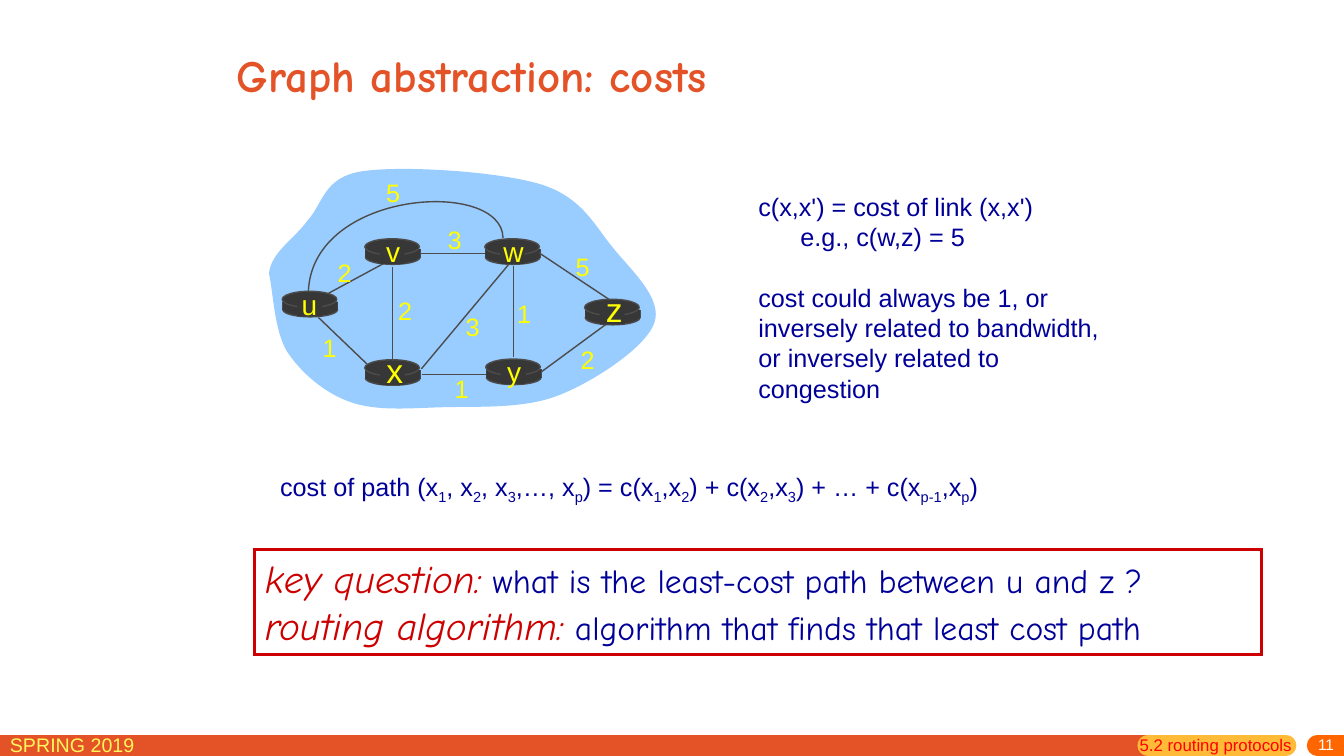
"""Build the slide on link costs in a graph of routers."""
from lxml import etree
from pptx import Presentation
from pptx import util as u
from pptx.dml.color import RGBColor
from pptx.enum import shapes, text
from pptx.oxml import ns

Pt = u.Pt
HUES = dict(brand="E45327", amber="FFBA37", orange="FF6600", lemon="FFF65C",
            white="FFFFFF", cloud="99CCFF", node="373737", line="4C4C4C",
            cost="FFFF00", navy="000099", key="CC0000", red="FF0000")
TITLE = "Graph abstraction: costs"
BARS = [(0, 820, "brand"), (820, 918.5, "amber"), (941, 960, "orange")]
NODES = [("u", 201.6, 208.1, 20, 221), ("x", 260.6, 257, 24, 281.9),
         ("v", 260.6, 170.6, 20, 280.8), ("w", 346.3, 170.6, 20, 366.5),
         ("y", 347, 256.5, 20, 367.2), ("z", 417.6, 213.8, 24, 438.8)]
UNDER = [(234.7, 209.5, 277.2, 186.5)]
LINKS = [(366.9, 190, 366.9, 255), (280.4, 191, 280.4, 258),
         (301, 263.5, 363.6, 188.6), (386.6, 265.7, 432.7, 231.8),
         (347, 267.4, 301.7, 267.4), (262.1, 260, 227.5, 226.8),
         (346.3, 181.1, 301, 181.1), (434.9, 213.8, 385.2, 180.7)]
COSTS = [("2", 234, 180), ("2", 277.2, 207.4), ("1", 223.2, 234),
         ("3", 325.4, 218.9), ("1", 317.5, 262.8), ("1", 362.2, 209.5),
         ("2", 407.5, 242.6), ("5", 403.9, 175.7), ("3", 312.5, 157),
         ("5", 268.6, 123.1)]
BLOB = [(192.2, 195.8),
        (193, 180.7), (211, 170), (219.6, 157.7),
        (231, 145.4), (231, 126.7), (258.5, 122.4),
        (286.6, 118), (356.4, 122.4), (386.6, 131.8),
        (416, 141), (424.8, 161.3), (438.5, 177.8),
        (452.2, 194.4), (473.8, 213.8), (467.3, 231.1),
        (460.8, 248.4), (424.8, 272.2), (399.6, 282.2),
        (374.4, 292.3), (341.3, 290.2), (316.8, 290.9),
        (291.6, 291.6), (269.3, 293.8), (250.6, 287.3),
        (231.8, 280.8), (215.3, 266.4), (205.2, 251.3),
        (195.8, 236.2), (195.1, 207.4), (192.2, 195.8)]
ARC = [(359.3, 169.9), (358.6, 127.4), (223.2, 135.4), (220.3, 208.1)]
NOTES = [("c(x,x') = cost of link (x,x')", 0, 0), ("e.g., c(w,z) = 5", 0, 30),
         ("cost could always be 1, or", 21.6, 0),
         ("inversely related to bandwidth,", 0, 0),
         ("or inversely related to", 0, 0), ("congestion", 0, 0)]
SUM = "cost of path (x|1|, x|2|, x|3|,…, x|p|) = c(x|1|,x|2|) + c(x|2|,x|3|) + … + c(x|p-1|,x|p|)"
KEYS = [("key question:", "what is the least-cost path between u and z ?"),
        ("routing algorithm:", "algorithm that finds that least cost path")]

deck = Presentation()
deck.slide_width, deck.slide_height = Pt(960), Pt(540)
slide = deck.slides.add_slide(deck.slide_layouts[5])
pool = slide.shapes


def hue(name):
    return RGBColor.from_string(HUES[name])


def put(item, **vals):
    for key, val in vals.items():
        setattr(item, key, val)


def add(para, words, size, tint, face="Arial", **more):
    run = para.add_run()
    run.text = words
    put(run.font, size=Pt(size), name=face, **more)
    run.font.color.rgb = hue(tint)
    return run


def box(x, y, w, h, wrap=True, **vals):
    frame = pool.add_textbox(*map(Pt, (x, y, w, h))).text_frame
    put(frame, word_wrap=wrap, **vals)
    return frame


def paint(shape, fill=None, line=None, width=1):
    shape.shadow.inherit = False
    if fill:
        shape.fill.solid()
        shape.fill.fore_color.rgb = hue(fill)
    else:
        shape.fill.background()
    if line:
        shape.line.color.rgb = hue(line)
        shape.line.width = Pt(width)
    else:
        shape.line.fill.background()
    return shape


def form(kind, x, y, w, h, **vals):
    return paint(pool.add_shape(kind, *map(Pt, (x, y, w, h))), **vals)


def link(ends, tint="line", width=1, cap="flat"):
    wire = pool.add_connector(shapes.MSO_CONNECTOR.STRAIGHT, *map(Pt, ends))
    wire.line.color.rgb = hue(tint)
    wire.line.width = Pt(width)
    prop = wire._element.spPr
    prop.find(ns.qn("a:ln")).set("cap", cap)
    etree.SubElement(prop, ns.qn("a:effectLst"))


def bend(knots, **vals):
    dots = [(Pt(x), Pt(y)) for x, y in knots]
    maker = pool.build_freeform(*dots[0], scale=1.0)
    maker.add_line_segments(dots[1:], close=False)
    shape = paint(maker.convert_to_shape(), **vals)
    legs = list(shape._element.iter(ns.qn("a:lnTo")))
    for i in range(0, len(legs), 3):
        curve = etree.Element(ns.qn("a:cubicBezTo"))
        legs[i].addprevious(curve)
        for leg in legs[i:i + 3]:
            curve.append(leg[0])
            leg.getparent().remove(leg)


def router(x, y):
    oval, rect = shapes.MSO_SHAPE.OVAL, shapes.MSO_SHAPE.RECTANGLE
    form(oval, x + 0.5, y + 8.2, 39, 10, fill="node", line="line")
    for side in (x + 0.5, x + 39.5):
        link((side, y + 7.4, side, y + 13.6))
    form(rect, x + 0.5, y + 7.4, 39, 6.4, fill="node")
    form(oval, x, y, 39, 11.5, fill="node", line="line")


for start, end, tint in BARS:
    link((start, 532.4, end, 532.4), tint, 15, "rnd")
add(box(0, 519.8, 165, 22).paragraphs[0], "SPRING 2019", 14, "lemon")
page = box(774, 527, 186, 13, margin_top=0, vertical_anchor=text.MSO_ANCHOR.MIDDLE)
page.paragraphs[0].alignment = text.PP_ALIGN.RIGHT
add(page.paragraphs[0], "11", 11, "white")

head = pool.title
put(head, left=Pt(162), top=Pt(17.3), width=Pt(612), height=Pt(71.3))
put(head.text_frame, vertical_anchor=text.MSO_ANCHOR.MIDDLE,
    auto_size=text.MSO_AUTO_SIZE.NONE)
head.text_frame.paragraphs[0].alignment = text.PP_ALIGN.LEFT
add(head.text_frame.paragraphs[0], TITLE, 32, "brand", "Comic Neue", bold=True)

bend(BLOB, fill="cloud")
for ends in UNDER:
    link(ends)
for name, x, y, size, mid in NODES:
    router(x, y)
for ends in LINKS:
    link(ends)
bend(ARC, line="line")
for name, x, y, size, mid in NODES:
    form(shapes.MSO_SHAPE.RECTANGLE, x + 10.8, y + 1.4, 17.6, 16.5, fill="node")
marks = [(name, mid - 14, y + 14.3 - 1.04 * size, 28, size)
         for name, x, y, size, mid in NODES]
marks += [(cost, x, y, 24.5, 18) for cost, x, y in COSTS]
for name, x, y, wide, size in marks:
    para = box(x, y, wide, 1.2 * size + 7.2, wrap=False).paragraphs[0]
    para.alignment = text.PP_ALIGN.CENTER
    add(para, name, size, "cost")

notes = box(534.6, 133.2, 265, 160)
for i, (words, gap, dent) in enumerate(NOTES):
    para = notes.add_paragraph() if i else notes.paragraphs[0]
    para.space_before = Pt(gap)
    para._p.get_or_add_pPr().set("marL", str(Pt(dent)))
    add(para, words, 18, "navy")

total = box(193, 333, 532, 29).paragraphs[0]
for i, words in enumerate(SUM.split("|")):
    run = add(total, words, 18, "navy")
    if i % 2:
        run._r.get_or_add_rPr().set("baseline", "-25000")

panel = form(shapes.MSO_SHAPE.RECTANGLE, 182.1, 392.4, 719.2, 75, line="key", width=2.25)
etree.SubElement(panel._element.spPr.find(ns.qn("a:ln")), ns.qn("a:miter"), lim="800000")
frame = panel.text_frame
put(frame, word_wrap=True, vertical_anchor=text.MSO_ANCHOR.TOP)
for i, (lead, rest) in enumerate(KEYS):
    para = frame.add_paragraph() if i else frame.paragraphs[0]
    para.alignment = text.PP_ALIGN.LEFT
    add(para, lead, 28, "key", "Comic Neue", italic=True)
    add(para, " ", 24, "line", "Comic Neue")
    add(para, rest, 24, "navy", "Comic Neue")

add(box(807, 521.3, 132.5, 22).paragraphs[0], "5.2 routing protocols", 12, "red")
deck.save("out.pptx")
